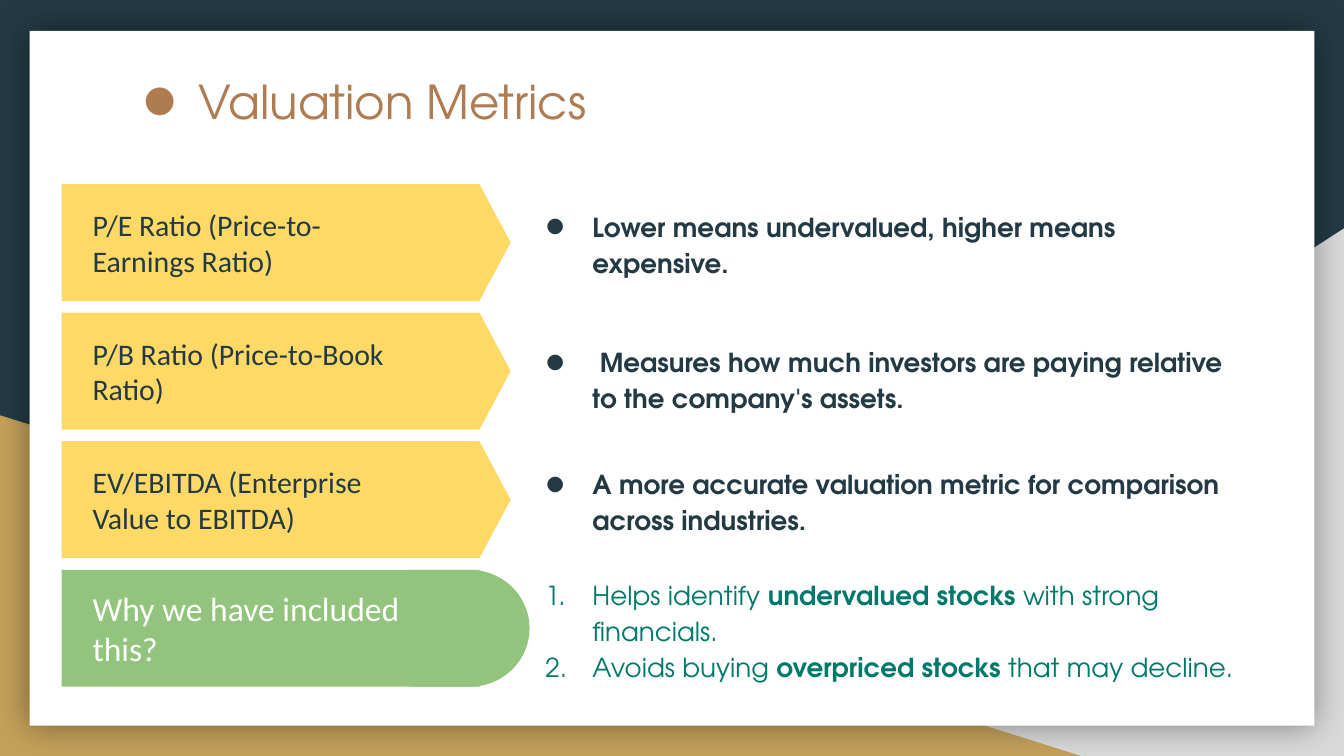
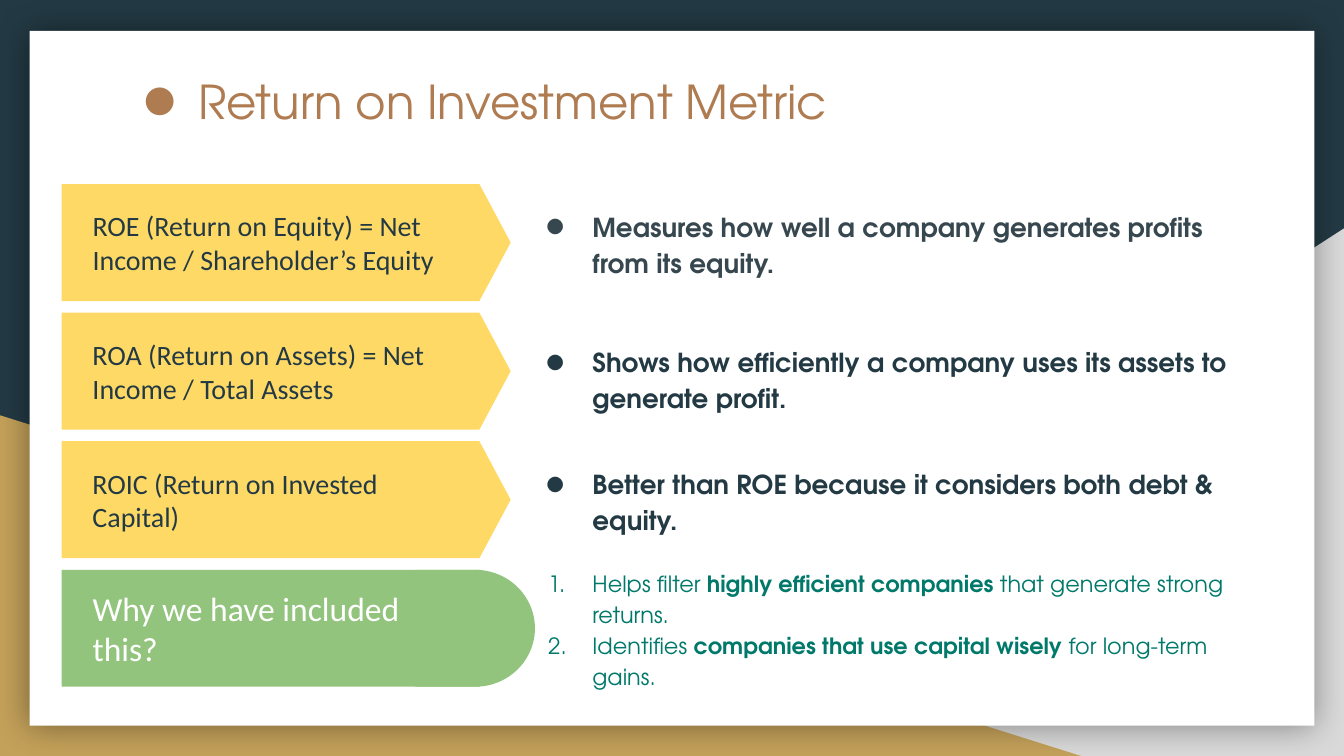
from lxml.etree import SubElement
from pptx import Presentation
from pptx.dml.color import RGBColor
from pptx.enum.shapes import MSO_SHAPE as SHAPE
from pptx.enum.text import MSO_ANCHOR as ANCHOR
from pptx.oxml.ns import qn
from pptx.util import Inches, Pt

NAVY = RGBColor(0x23, 0x3A, 0x44)
SLATE = RGBColor(0x37, 0x47, 0x4F)
GOLD = RGBColor(0xC4, 0xA1, 0x5A)
GREY = RGBColor(0xD9, 0xD9, 0xD9)
WHITE = RGBColor(0xFF, 0xFF, 0xFF)
BROWN = RGBColor(0xAF, 0x7B, 0x51)
YELLOW = RGBColor(0xFF, 0xD9, 0x66)
GREEN = RGBColor(0x93, 0xC4, 0x7D)
TEAL = RGBColor(0x00, 0x79, 0x6B)

HEAD_FONT, LABEL_FONT = "TeX Gyre Adventor", "Calibri"
ROW_X, ROW_TOP, ROW_LAST, ROW_H = 0.46, 1.37, 4.24, 0.87
ROW_PITCH = (ROW_LAST - ROW_TOP) / 3

SLIDES = [
    {
        "title": "Valuation Metrics",
        "label_size": 16,
        "rows": [
            ("P/E Ratio (Price-to-Earnings Ratio)", 2.65, 0, NAVY,
             "Lower means undervalued, higher means expensive."),
            ("P/B Ratio (Price-to-Book Ratio)", 2.65, 0.1, NAVY,
             " Measures how much investors are paying relative to the company's assets."),
            ("EV/EBITDA (Enterprise Value to EBITDA)", 2.65, 0, NAVY,
             "A more accurate valuation metric for comparison across industries."),
        ],
        "reasons": ["Helps identify *undervalued stocks* with strong financials.",
                    "Avoids buying *overpriced stocks* that may decline."],
        "reason_size": 14,
        "reason_hang": 0.35,
        "cap_x": 2.59,
    },
    {
        "title": "Return on Investment Metric",
        "label_size": 15,
        "rows": [
            ("ROE (Return on Equity) = Net Income / Shareholder’s Equity", 2.81, 0, SLATE,
             "Measures how well a company generates profits from its equity."),
            ("ROA (Return on Assets) = Net Income / Total Assets", 2.86, 0.1, NAVY,
             "Shows how efficiently a company uses its assets to generate profit."),
            ("ROIC (Return on Invested Capital)", 2.86, 0, NAVY,
             "Better than ROE because it considers both debt & equity."),
        ],
        "reasons": ["Helps filter *highly efficient companies* that generate strong returns.",
                    "Identifies *companies that use capital wisely* for long-term gains."],
        "reason_size": 12,
        "reason_hang": 0.33,
        "cap_x": 2.63,
    },
]


def add_box(shapes, kind, x, y, w, h, fill):
    """Add a flat, borderless preset shape."""
    sp = shapes.add_shape(kind, Inches(x), Inches(y), Inches(w), Inches(h))
    sp.shadow.inherit = False
    sp.fill.solid()
    sp.fill.fore_color.rgb = fill
    sp.line.fill.background()
    return sp


def add_glow(sp, blur, alpha):
    """Give a shape a soft black shadow on all sides."""
    effects = sp._element.spPr.find(qn("a:effectLst"))
    shadow = SubElement(effects, qn("a:outerShdw"), blurRad=str(Pt(blur)),
                        dist="0", dir="0", algn="ctr", rotWithShape="0")
    color = SubElement(shadow, qn("a:srgbClr"), val="000000")
    SubElement(color, qn("a:alpha"), val=str(alpha * 1000))


def set_bullet(p, color, hang, numbered):
    """Put a coloured bullet or number in a hanging indent."""
    pPr = p._p.get_or_add_pPr()
    pPr.set("marL", str(Inches(0.5)))
    pPr.set("indent", str(-Inches(hang)))
    SubElement(SubElement(pPr, qn("a:buClr")), qn("a:srgbClr"), val=str(color))
    SubElement(pPr, qn("a:buFont"), typeface=HEAD_FONT)
    if numbered:
        SubElement(pPr, qn("a:buAutoNum"), type="arabicPeriod")
    else:
        SubElement(pPr, qn("a:buChar"), char="●")


def add_text(s, lines, x, y, w, h, *, size, color, font=HEAD_FONT, bold=False,
             anchor=ANCHOR.MIDDLE, hang=None, numbered=False, spacing=None):
    """Add a wrapped text box; parts between asterisks are bold."""
    box = s.shapes.add_textbox(Inches(x), Inches(y), Inches(w), Inches(h))
    tf = box.text_frame
    tf.word_wrap = True
    tf.vertical_anchor = anchor
    tf.margin_left = tf.margin_right = tf.margin_top = tf.margin_bottom = Inches(0.1)
    for i, line in enumerate(lines):
        p = tf.paragraphs[0] if i == 0 else tf.add_paragraph()
        if hang:
            set_bullet(p, color, hang, numbered)
        if spacing:
            p.line_spacing = spacing
        for j, part in enumerate(line.split("*")):
            r = p.add_run()
            r.text = part
            r.font.name = font
            r.font.size = Pt(size)
            r.font.bold = bold or j % 2 == 1
            r.font.color.rgb = color
    return box


def add_backdrop(s):
    """Draw the navy background, corner wedges and white card."""
    s.background.fill.solid()
    s.background.fill.fore_color.rgb = NAVY
    wedge = add_box(s.shapes, SHAPE.RIGHT_TRIANGLE, 3.92, 1.7, 6.08, 3.93, GREY)
    wedge._element.spPr.xfrm.set("flipH", "1")
    add_box(s.shapes, SHAPE.RIGHT_TRIANGLE, 0, 3.09, 8.06, 2.54, GOLD)
    card = add_box(s.shapes, SHAPE.RECTANGLE, 0.22, 0.23, 9.56, 5.17, WHITE)
    add_glow(card, 18, 40)


def add_title(s, text, x, y):
    """Write the bulleted slide title."""
    add_text(s, [text], x, y, 7.03, 0.77, size=25, color=BROWN,
             anchor=ANCHOR.TOP, hang=0.42)


def add_band(s, x, y, fill, label, label_w, label_size, label_color):
    """Draw one row's pennant on its white strip, with its label."""
    band = s.shapes.add_group_shape()
    add_box(band.shapes, SHAPE.RECTANGLE, x + 2.74, y, 6.33, ROW_H, WHITE)
    pennant = add_box(band.shapes, SHAPE.PENTAGON, x, y, 3.34, ROW_H, fill)
    pennant.adjustments[0] = 0.267
    add_text(s, [label], x + 0.13, y, label_w, ROW_H, size=label_size,
             color=label_color, font=LABEL_FONT)


def add_metric_row(s, x, y, row, label_size):
    """Place a metric's label and its meaning."""
    label, label_w, drop, color, meaning = row
    add_band(s, x, y, YELLOW, label, label_w, label_size, NAVY)
    add_text(s, [meaning], x + 3.35, y + drop, 5.59, ROW_H - drop, size=14,
             color=color, bold=True, hang=0.35, spacing=1.15)


def add_reason_row(s, x, y, data):
    """Place the green closing row with its numbered reasons."""
    add_band(s, x, y, GREEN, "Why we have included this?", 2.65, 18, WHITE)
    box = add_text(s, data["reasons"], x + 3.35, y, 5.59, ROW_H,
                   size=data["reason_size"], color=TEAL, hang=data["reason_hang"],
                   numbered=True, spacing=1.15)
    box.fill.solid()
    box.fill.fore_color.rgb = WHITE
    add_box(s.shapes, SHAPE.FLOWCHART_DELAY, x + data["cap_x"], y, 0.89, ROW_H, GREEN)


def add_metrics_slide(prs, data):
    """Build one metrics slide."""
    s = prs.slides.add_slide(prs.slide_layouts[6])
    add_backdrop(s)
    add_title(s, data["title"], 0.88, 0.44)
    for i, row in enumerate(data["rows"]):
        add_metric_row(s, ROW_X, ROW_TOP + i * ROW_PITCH, row, data["label_size"])
    add_reason_row(s, ROW_X, ROW_LAST, data)


def main():
    """Build and save the deck."""
    prs = Presentation()
    prs.slide_width = Inches(10)
    prs.slide_height = prs.slide_width * 9 // 16
    for data in SLIDES:
        add_metrics_slide(prs, data)
    prs.save("out.pptx")


if __name__ == "__main__":
    main()
